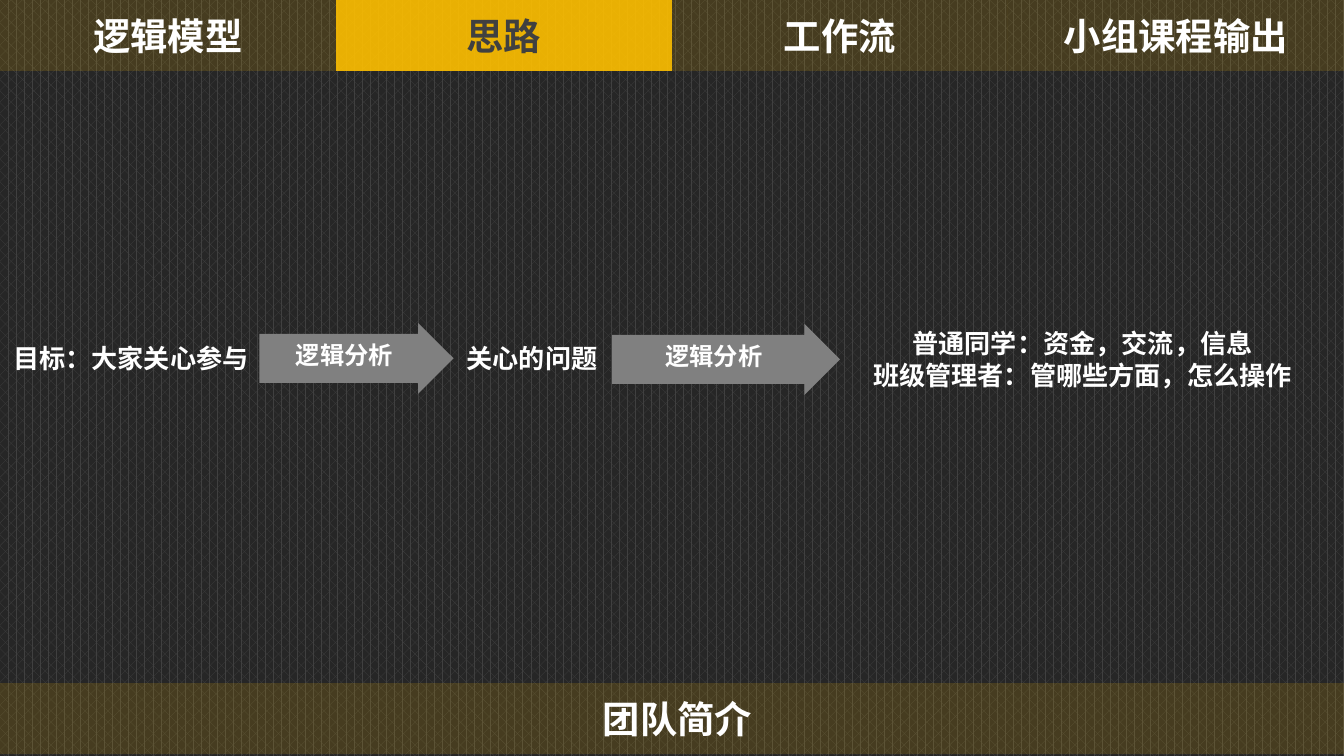
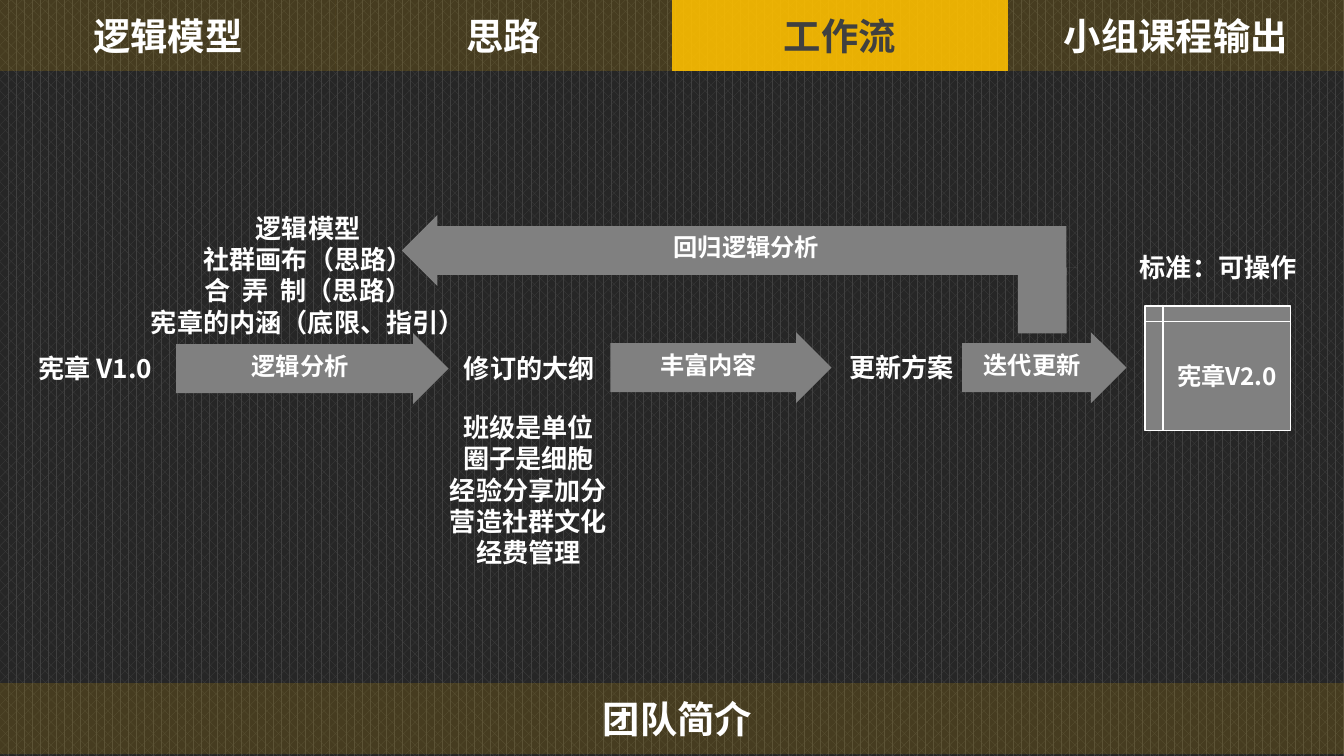
import dataclasses

import lxml.etree
import pptx
import pptx.dml.color
import pptx.enum.dml
import pptx.enum.shapes
import pptx.enum.text
import pptx.oxml.ns
import pptx.util

Pt = pptx.util.Pt
qn = pptx.oxml.ns.qn
MSO_SHAPE = pptx.enum.shapes.MSO_SHAPE
MSO_ANCHOR = pptx.enum.text.MSO_ANCHOR


@dataclasses.dataclass(frozen=True)
class Theme:
    font: str = "Noto Sans CJK SC"
    back: str = "262626"
    weave: str = "404040"
    gold: str = "FFC000"
    gray: str = "808080"
    white: str = "FFFFFF"
    dark: str = "404040"
    tab_size: int = 20
    label_size: int = 14
    arrow_size: int = 13
    leading: float = 1.2
    idle_alpha: int = 15
    active_alpha: int = 90


THEME = Theme()
WIDTH, HEIGHT = 720, 405
BAND_H = 38
FOOTER_TOP, FOOTER_W = 366, 726
ARROW_H = 38
ARROW_SHAFT = 0.689
TABS = ["逻辑模型", "思路", "工作流", "小组课程输出"]
FOOTER = "团队简介"


def rgb(value):
    return pptx.dml.color.RGBColor.from_string(value)


def set_all(target, values):
    for name, value in values.items():
        setattr(target, name, value)


def place(sp, left, top, width, height):
    box = dict(left=left, top=top, width=width, height=height)
    set_all(sp, {name: Pt(value) for name, value in box.items()})


def write(sp, lines, size, color=THEME.white, anchor=MSO_ANCHOR.TOP, wrap=True):
    tf = sp.text_frame
    set_all(tf, dict(word_wrap=wrap, vertical_anchor=anchor,
                     auto_size=pptx.enum.text.MSO_AUTO_SIZE.NONE))
    for i, line in enumerate(lines):
        p = tf.add_paragraph() if i else tf.paragraphs[0]
        set_all(p, dict(alignment=pptx.enum.text.PP_ALIGN.CENTER,
                        line_spacing=Pt(size * THEME.leading)))
        r = p.add_run()
        r.text = line
        r.font.color.rgb = rgb(color)
        set_all(r.font, dict(name=THEME.font, size=Pt(size), bold=True))
        ea = lxml.etree.SubElement(r._r.get_or_add_rPr(), qn("a:ea"))
        ea.set("typeface", THEME.font)


def paint(sp, color, alpha=100):
    sp.shadow.inherit = False
    sp.fill.solid()
    sp.fill.fore_color.rgb = rgb(color)
    sp.line.fill.background()
    if alpha < 100:
        clr = sp._element.spPr.find(qn("a:solidFill")).find(qn("a:srgbClr"))
        lxml.etree.SubElement(clr, qn("a:alpha")).set("val", str(alpha * 1000))


def add_block(s, kind, left, top, width, height):
    sp = s.shapes.add_shape(kind, 0, 0, 0, 0)
    place(sp, left, top, width, height)
    paint(sp, THEME.gray)
    return sp


def add_band(s, text, left, top, width):
    sp = s.shapes.add_shape(MSO_SHAPE.RECTANGLE, 0, 0, 0, 0)
    place(sp, left, top, width, BAND_H)
    paint(sp, THEME.gold, THEME.idle_alpha)
    write(sp, [text], THEME.tab_size, anchor=MSO_ANCHOR.MIDDLE)


def add_active_tab(s, text, left, width):
    sp = s.shapes.title
    place(sp, left, 0, width, BAND_H)
    paint(sp, THEME.gold, THEME.active_alpha)
    write(sp, [text], THEME.tab_size, THEME.dark, MSO_ANCHOR.MIDDLE)


def add_arrow(s, text, left, top, width, flip=False):
    sp = add_block(s, MSO_SHAPE.RIGHT_ARROW, left, top, width, ARROW_H)
    sp.adjustments[0] = ARROW_SHAFT
    if flip:
        sp._element.spPr.find(qn("a:xfrm")).set("flipH", "1")
    write(sp, [text], THEME.arrow_size)


def add_riser(s, left, top, width):
    sp = add_block(s, MSO_SHAPE.RIGHT_ARROW, left, top, width, ARROW_H)
    sp.adjustments[0] = ARROW_SHAFT
    sp.adjustments[1] = 0
    sp.rotation = 270


def add_storage(s, text, left, top, width, height):
    sp = add_block(s, MSO_SHAPE.FLOWCHART_INTERNAL_STORAGE, left, top, width, height)
    sp.line.color.rgb = rgb(THEME.white)
    sp.line.width = Pt(0.75)
    write(sp, [text], THEME.arrow_size, anchor=MSO_ANCHOR.MIDDLE)


def add_label(s, lines, left, top, width):
    height = 7.2 + len(lines) * THEME.label_size * THEME.leading
    sp = s.shapes.add_textbox(0, 0, 0, 0)
    place(sp, left, top, width, height)
    write(sp, lines, THEME.label_size, wrap=False)


def add_slide(prs, active):
    s = prs.slides.add_slide(prs.slide_layouts.get_by_name("Title Only"))
    tab_w = WIDTH / len(TABS)
    for i, text in enumerate(TABS):
        if text == active:
            add_active_tab(s, text, i * tab_w, tab_w)
        else:
            add_band(s, text, i * tab_w, 0, tab_w)
    add_band(s, FOOTER, 0, FOOTER_TOP, FOOTER_W)
    return s


def add_idea_slide(prs):
    s = add_slide(prs, "思路")
    add_label(s, ["目标：大家关心参与"], 0, 180, 140.4)
    add_arrow(s, "逻辑分析", 139, 173, 104)
    add_label(s, ["关心的问题"], 242.6, 180, 85)
    add_arrow(s, "逻辑分析", 328, 173.5, 122)
    add_label(s, ["普通同学：资金，交流，信息", "班级管理者：管哪些方面，怎么操作"],
              443.5, 172, 273)


def add_workflow_slide(prs):
    s = add_slide(prs, "工作流")
    add_label(s, ["逻辑模型", "社群画布（思路）", "合  弄  制（思路）",
                  "宪章的内涵（底限、指引）"], 62.6, 110, 205)
    add_label(s, ["宪章 V1.0"], 8.6, 185, 85)
    add_arrow(s, "逻辑分析", 94.3, 178.5, 146)
    add_label(s, ["修订的大纲"], 240.5, 185, 86.4)
    add_label(s, ["班级是单位", "圈子是细胞", "经验分享加分", "营造社群文化", "经费管理"],
              180.7, 216.7, 205)
    add_arrow(s, "丰富内容", 327, 178, 118.5)
    add_label(s, ["更新方案"], 445, 184.5, 76)
    add_arrow(s, "迭代更新", 515.5, 178, 88)
    add_label(s, ["标准：可操作"], 600.5, 131, 104.4)
    add_storage(s, "宪章V2.0", 613.4, 164, 78, 66.5)
    add_riser(s, 540.7, 142, 35.3)
    add_arrow(s, "回归逻辑分析", 215.3, 115.2, 356, flip=True)


def set_background(prs):
    fill = prs.slide_master.background.fill
    fill.patterned()
    fill.pattern = pptx.enum.dml.MSO_PATTERN.PERCENT_60
    fill.fore_color.rgb = rgb(THEME.weave)
    fill.back_color.rgb = rgb(THEME.back)


def main():
    prs = pptx.Presentation()
    set_all(prs, dict(slide_width=Pt(WIDTH), slide_height=Pt(HEIGHT)))
    set_background(prs)
    add_idea_slide(prs)
    add_workflow_slide(prs)
    prs.save("out.pptx")


if __name__ == "__main__":
    main()
